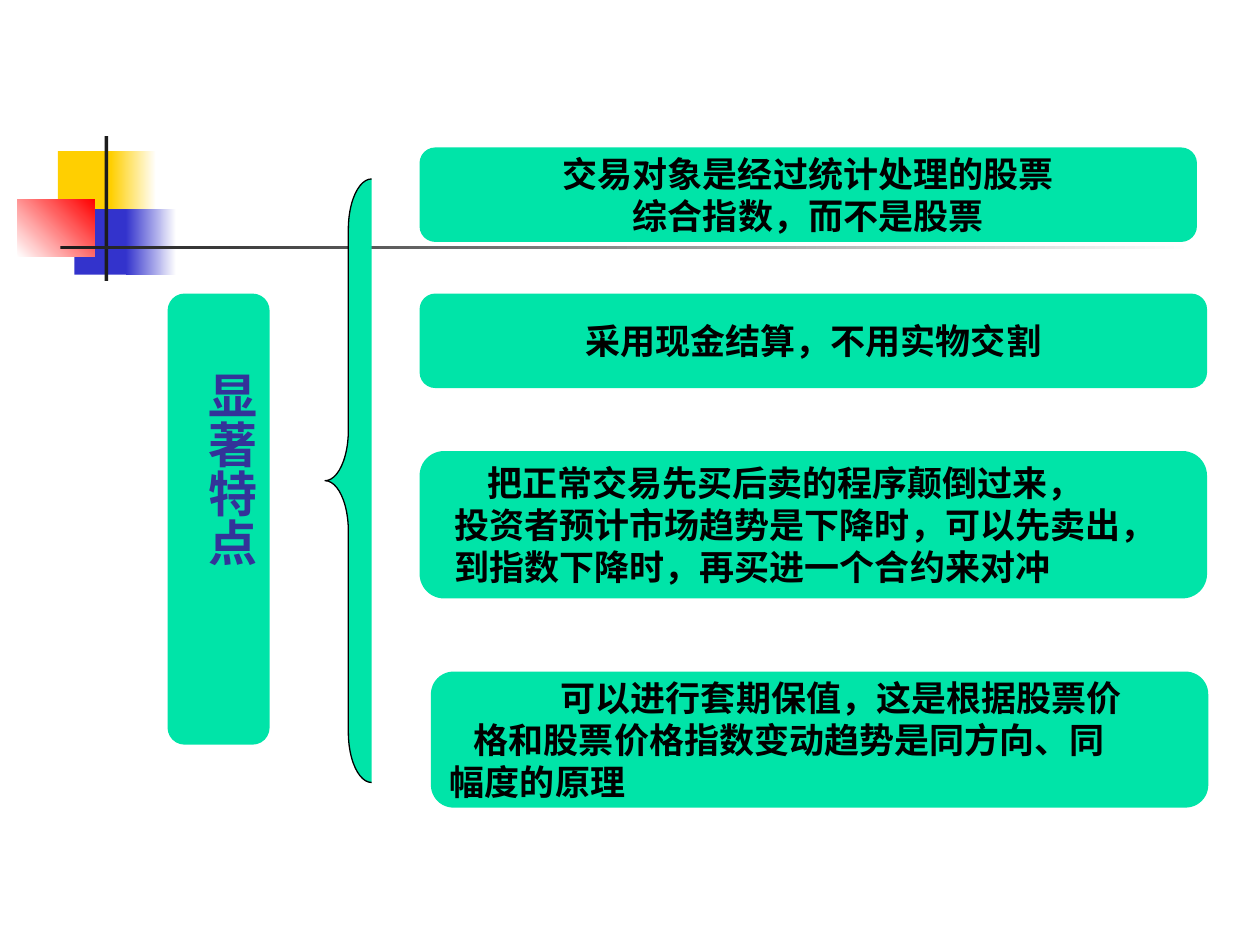
from dataclasses import dataclass

from lxml import etree
from pptx import Presentation
from pptx.dml.color import RGBColor
from pptx.enum import shapes, text
from pptx.oxml import ns
from pptx.util import Inches, Pt

WHITE = RGBColor(0xFF, 0xFF, 0xFF)
BLACK = RGBColor(0x00, 0x00, 0x00)
GREEN = RGBColor(0x00, 0xE4, 0xA8)
INDIGO = RGBColor(0x33, 0x33, 0x99)
YELLOW = RGBColor(0xFF, 0xCF, 0x01)
BLUE = RGBColor(0x33, 0x33, 0xCC)
RED = RGBColor(0xFF, 0x00, 0x00)
CHARCOAL = RGBColor(0x1C, 0x1C, 0x1C)
FONT = "Noto Sans CJK SC"
CARD = shapes.MSO_SHAPE.FLOWCHART_ALTERNATE_PROCESS
RECTANGLE = shapes.MSO_SHAPE.RECTANGLE
CENTER = text.PP_ALIGN.CENTER
LEFT = text.PP_ALIGN.LEFT


@dataclass
class Box:
    left: float
    top: float
    width: float
    height: float


@dataclass
class Block:
    box: Box
    start: RGBColor
    end: RGBColor | None = None
    angle: float = 0


@dataclass
class Line:
    wording: str
    indent: float = 0


@dataclass
class Feature:
    box: Box
    lines: list[Line]
    alignment: text.PP_ALIGN = CENTER


BLOCKS = [
    Block(Box(0.46, 1.2, 0.48, 0.52), YELLOW),
    Block(Box(0.88, 1.2, 0.36, 0.52), YELLOW, WHITE),
    Block(Box(0.59, 1.66, 0.46, 0.52), BLUE),
    Block(Box(1, 1.66, 0.4, 0.52), BLUE, WHITE),
    Block(Box(0.14, 1.58, 0.61, 0.46), WHITE, RED, 45),
    Block(Box(0.83, 1.08, 0.03, 1.15), CHARCOAL),
    Block(Box(0.48, 1.95, 9, 0.03), CHARCOAL, WHITE),
]

FEATURES = [
    Feature(Box(3.33, 1.17, 6.17, 0.75),
            [Line("交易对象是经过统计处理的股票"), Line("综合指数，而不是股票")]),
    Feature(Box(3.33, 2.33, 6.25, 0.75), [Line("采用现金结算，不用实物交割")]),
    Feature(Box(3.33, 3.58, 6.25, 1.17),
            [Line("把正常交易先买后卖的程序颠倒过来，", 0.38),
             Line("投资者预计市场趋势是下降时，可以先卖出，", 0.12),
             Line("到指数下降时，再买进一个合约来对冲", 0.12)], LEFT),
    Feature(Box(3.42, 5.33, 6.17, 1.08),
            [Line("可以进行套期保值，这是根据股票价", 0.88),
             Line("格和股票价格指数变动趋势是同方向、同", 0.19),
             Line("幅度的原理")], LEFT),
]


def add_filled(container, kind, box: Box, color: RGBColor):
    shape = container.add_shape(kind, Inches(box.left), Inches(box.top),
                                Inches(box.width), Inches(box.height))
    shape.shadow.inherit = False
    shape.fill.solid()
    shape.fill.fore_color.rgb = color
    shape.line.fill.background()
    return shape


def add_block(container, block: Block) -> None:
    shape = add_filled(container, RECTANGLE, block.box, block.start)
    if block.end is not None:
        shape.fill.gradient()
        shape.fill.gradient_angle = block.angle
        for stop, color, position in zip(shape.fill.gradient_stops,
                                         (block.start, block.end), (0, 1)):
            stop.color.rgb = color
            stop.position = position


def write_lines(shape, lines: list[Line], alignment: text.PP_ALIGN,
                size: int, color: RGBColor) -> None:
    frame = shape.text_frame
    for number, line in enumerate(lines):
        paragraph = frame.paragraphs[0] if number == 0 else frame.add_paragraph()
        paragraph.text = line.wording
        paragraph.alignment = alignment
        if line.indent:
            properties = paragraph._p.get_or_add_pPr()
            properties.set("marL", str(Inches(line.indent)))
            properties.set("indent", "0")
        font = paragraph.font
        font.size, font.bold, font.name = Pt(size), True, FONT
        font.color.rgb = color
        # East Asian glyphs take their typeface from a:ea
        east_asian = etree.SubElement(font._rPr, ns.qn("a:ea"))
        east_asian.set("typeface", FONT)


def add_feature(container, feature: Feature) -> None:
    shape = add_filled(container, CARD, feature.box, GREEN)
    shape.text_frame.word_wrap = True
    shape.text_frame.vertical_anchor = text.MSO_ANCHOR.MIDDLE
    write_lines(shape, feature.lines, feature.alignment, 20, BLACK)


def add_heading(container) -> None:
    group = container.add_group_shape()
    add_filled(group.shapes, CARD, Box(1.33, 2.33, 0.81, 3.58), GREEN)
    label = add_filled(group.shapes, RECTANGLE, Box(1.46, 2.56, 0.66, 2.08), GREEN)
    frame = label.text_frame
    frame.word_wrap = False
    frame.vertical_anchor = text.MSO_ANCHOR.TOP
    frame.margin_left = frame.margin_right = Inches(0.05)
    frame.margin_top = frame.margin_bottom = Inches(0.1)
    frame._txBody.bodyPr.set("vert", "eaVert")
    write_lines(label, [Line("显著特点", 0.29)], CENTER, 28, INDIGO)


def add_brace(container) -> None:
    brace = add_filled(container, shapes.MSO_SHAPE.LEFT_BRACE,
                       Box(2.58, 1.42, 0.37, 4.79), GREEN)
    brace.adjustments[0] = 1.08
    brace.line.color.rgb = BLACK
    brace.line.width = Pt(0.75)


def main() -> None:
    presentation = Presentation()
    presentation.slide_width, presentation.slide_height = Inches(10), Inches(7.5)
    slide = presentation.slides.add_slide(presentation.slide_layouts[6])
    for block in BLOCKS:
        add_block(slide.shapes, block)
    add_brace(slide.shapes)
    add_heading(slide.shapes)
    for feature in FEATURES:
        add_feature(slide.shapes, feature)
    presentation.save("out.pptx")


if __name__ == "__main__":
    main()
